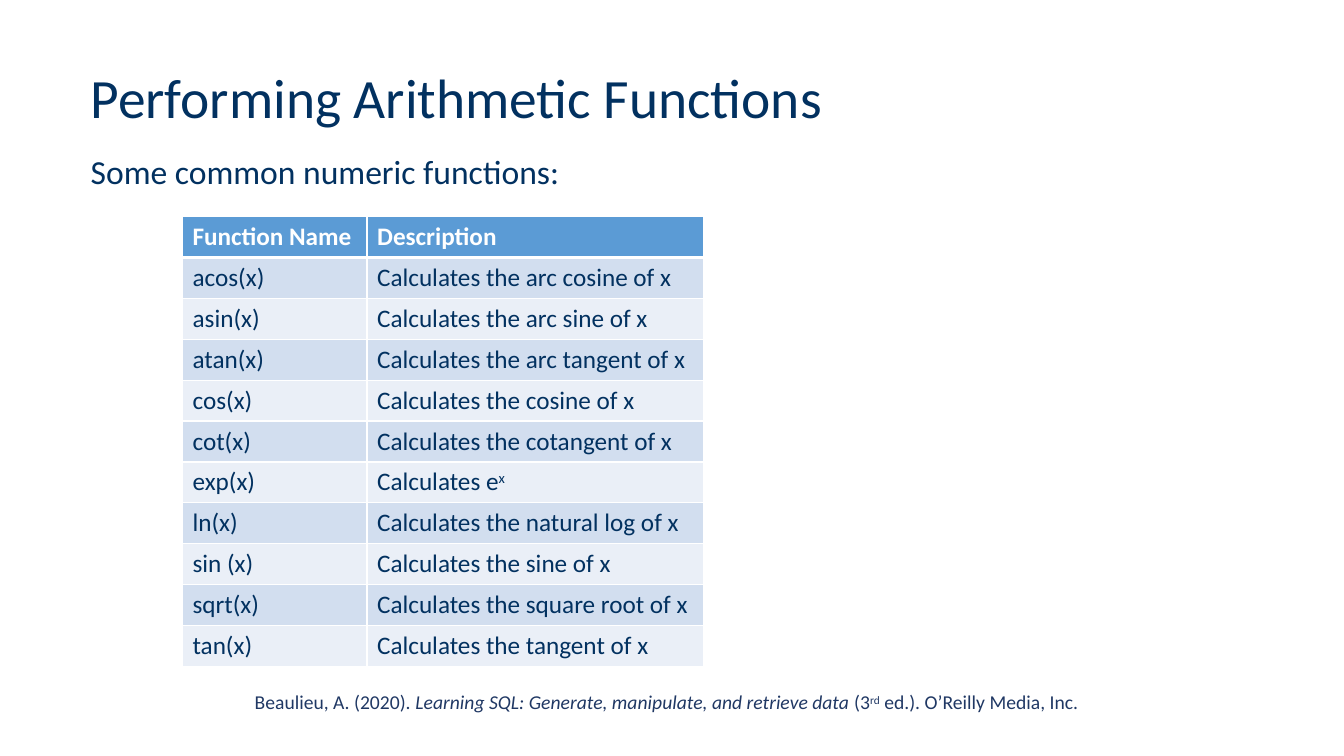
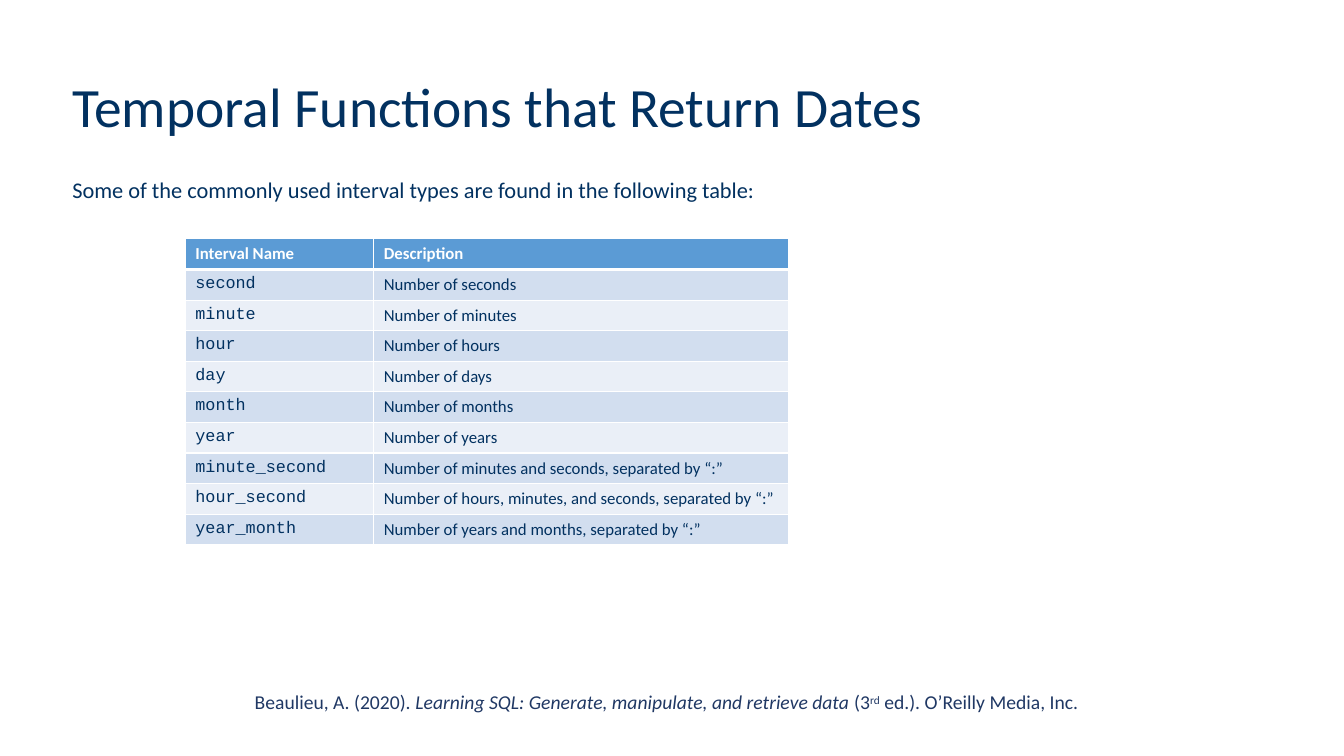
import pptx
import pptx.dml.color
import pptx.enum.text
import pptx.oxml
import pptx.oxml.ns
import pptx.util

Cm = pptx.util.Cm
Pt = pptx.util.Pt
RGBColor = pptx.dml.color.RGBColor

# Shared style
NAVY = RGBColor(0x02, 0x31, 0x60)
CITATION_BLUE = RGBColor(0x20, 0x38, 0x64)
HEADER_BLUE = RGBColor(0x5B, 0x9B, 0xD5)
BANDS = (RGBColor(0xD2, 0xDE, 0xEF), RGBColor(0xEA, 0xEF, 0xF7))
WHITE = RGBColor(0xFF, 0xFF, 0xFF)
FONT = "Calibri"
CODE_FONT = "Courier New"

# Content: a text is a string or a list of (text, style) spans
CITATION = [
    ("Beaulieu, A. (2020). ", None),
    ("Learning SQL: Generate, manipulate, and retrieve data", "italic"),
    (" (3", None),
    ("rd", "super"),
    (" ed.). O’Reilly Media, Inc.", None),
]

PAGES = [
    {
        "title": "Performing Arithmetic Functions",
        "title_at": (2.03, 1.75),
        "intro": "Some common numeric functions:",
        "intro_at": (2.03, 3.68, 27.69, 1.4),
        "intro_size": 24,
        "table_at": (4.6, 5.46),
        "columns": (4.65, 8.48),
        "row_height": 1.03,
        "table_size": 18,
        "name_font": FONT,
        "rows": [
            ("Function Name", "Description"),
            ("acos(x)", "Calculates the arc cosine of x"),
            ("asin(x)", "Calculates the arc sine of x"),
            ("atan(x)", "Calculates the arc tangent of x"),
            ("cos(x)", "Calculates the cosine of x"),
            ("cot(x)", "Calculates the cotangent of x"),
            ("exp(x)", [("Calculates e", None), ("x", "super")]),
            ("ln(x)", "Calculates the natural log of x"),
            ("sin (x)", "Calculates the sine of x"),
            ("sqrt(x)", "Calculates the square root of x"),
            ("tan(x)", "Calculates the tangent of x"),
        ],
    },
    {
        "title": "Temporal Functions that Return Dates",
        "title_at": (1.57, 1.98),
        "intro": "Some of the commonly used interval types are found in the following table:",
        "intro_at": (1.57, 4.32, 26.57, 0.94),
        "intro_size": 16,
        "table_at": (4.67, 6.02),
        "columns": (4.75, 10.46),
        "row_height": 0.76,
        "table_size": 12,
        "name_font": CODE_FONT,
        "rows": [
            ("Interval Name", "Description"),
            ("second", "Number of seconds"),
            ("minute", "Number of minutes"),
            ("hour", "Number of hours"),
            ("day", "Number of days"),
            ("month", "Number of months"),
            ("year", "Number of years"),
            ("minute_second", "Number of minutes and seconds, separated by “:”"),
            ("hour_second", "Number of hours, minutes, and seconds, separated by “:”"),
            ("year_month", "Number of years and months, separated by “:”"),
        ],
    },
]


def write(para, text, size, color, font=FONT, bold=False):
    spans = [(text, None)] if isinstance(text, str) else text
    for words, style in spans:
        span = para.add_run()
        span.text = words
        span.font.name = font
        span.font.size = Pt(size)
        span.font.bold = bold
        span.font.color.rgb = color
        if style == "italic":
            span.font.italic = True
        elif style == "super":
            span.font._element.set("baseline", "30000")


def place(box, left, top, width, height):
    box.left, box.top, box.width, box.height = map(Cm, (left, top, width, height))
    box.text_frame.word_wrap = True
    box.text_frame.auto_size = pptx.enum.text.MSO_AUTO_SIZE.NONE
    return box.text_frame


def add_title(page, text, left, top):
    frame = place(page.shapes.title, left, top, 29.21, 1.57)
    frame.vertical_anchor = pptx.enum.text.MSO_ANCHOR.MIDDLE
    para = frame.paragraphs[0]
    para.alignment = pptx.enum.text.PP_ALIGN.LEFT
    para.line_spacing = 0.9
    write(para, text, 39.6, NAVY)


def add_intro(page, text, size, at):
    para = place(page.placeholders[1], *at).paragraphs[0]
    properties = para._p.get_or_add_pPr()
    properties.set("marL", "0")
    properties.set("indent", "0")
    properties.append(pptx.oxml.parse_xml(f"<a:buNone {pptx.oxml.ns.nsdecls('a')}/>"))
    para.space_before = Pt(0)
    write(para, text, size, NAVY)


def add_citation(page):
    box = page.shapes.add_textbox(0, 0, 0, 0)
    write(place(box, 6.17, 17.27, 21.49, 0.86).paragraphs[0], CITATION, 14, CITATION_BLUE)


def set_borders(cell, row):
    # A thick rule separates the header from the rows below it
    widths = {"L": 1, "R": 1, "T": 3 if row == 1 else 1, "B": 3 if row == 0 else 1}
    for side, width in widths.items():
        cell._tc.get_or_add_tcPr().append(pptx.oxml.parse_xml(
            f'<a:ln{side} {pptx.oxml.ns.nsdecls("a")} w="{Pt(width)}">'
            f'<a:solidFill><a:srgbClr val="{WHITE}"/></a:solidFill></a:ln{side}>'))


def add_table(page, spec):
    rows, columns = spec["rows"], spec["columns"]
    left, top = spec["table_at"]
    height = spec["row_height"]
    table = page.shapes.add_table(
        len(rows), len(columns), Cm(left), Cm(top),
        Cm(sum(columns)), Cm(height * len(rows))).table
    for column, width in zip(table.columns, columns):
        column.width = Cm(width)
    for r, texts in enumerate(rows):
        table.rows[r].height = Cm(height)
        header = r == 0
        for c, text in enumerate(texts):
            cell = table.cell(r, c)
            set_borders(cell, r)
            cell.fill.solid()
            cell.fill.fore_color.rgb = HEADER_BLUE if header else BANDS[(r - 1) % 2]
            write(cell.text_frame.paragraphs[0], text, spec["table_size"],
                  WHITE if header else NAVY,
                  spec["name_font"] if c == 0 and not header else FONT, header)


def main():
    deck = pptx.Presentation()
    deck.slide_width, deck.slide_height = Cm(33.87), Cm(19.05)
    for content in PAGES:
        page = deck.slides.add_slide(deck.slide_layouts[1])
        add_citation(page)
        add_title(page, content["title"], *content["title_at"])
        add_intro(page, content["intro"], content["intro_size"], content["intro_at"])
        add_table(page, content)
    deck.save("out.pptx")


if __name__ == "__main__":
    main()
